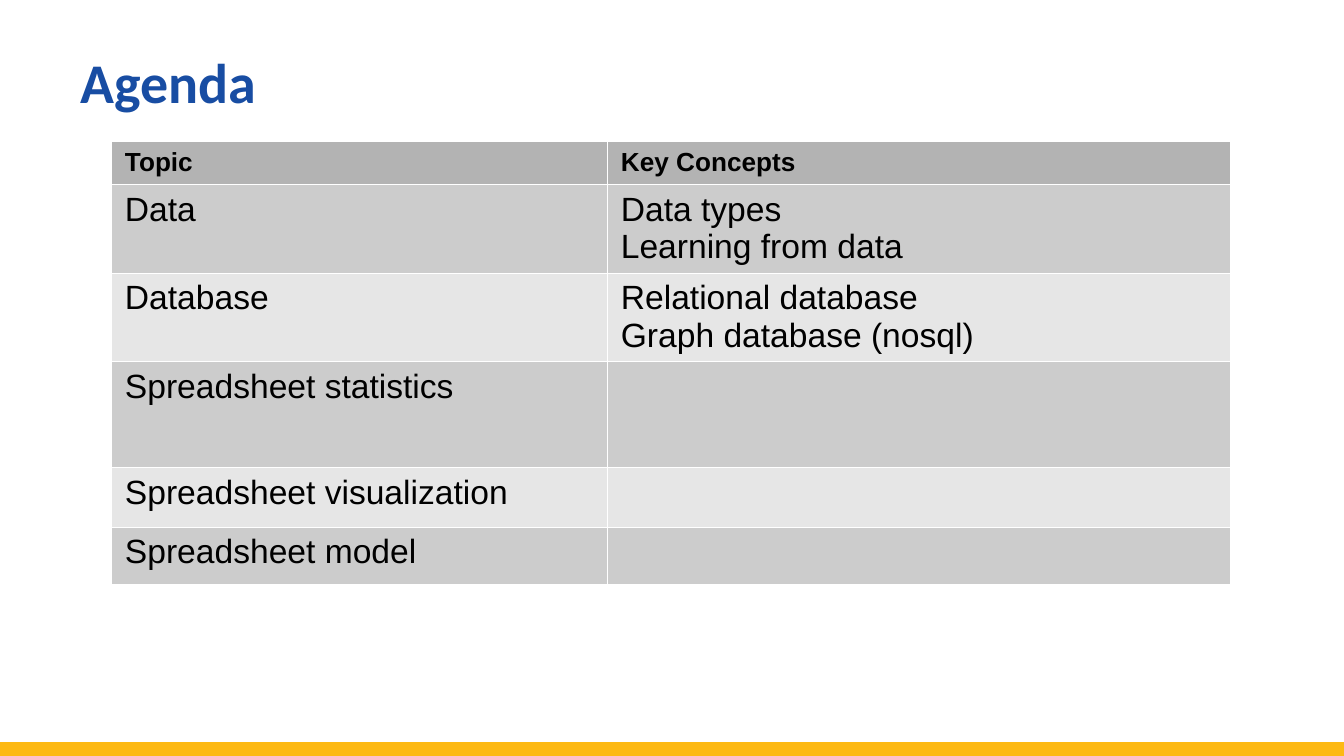
from lxml.etree import SubElement
from pptx import Presentation
from pptx.dml.color import RGBColor
from pptx.enum.shapes import MSO_CONNECTOR
from pptx.enum.text import MSO_ANCHOR, MSO_AUTO_SIZE, PP_ALIGN
from pptx.oxml.ns import qn
from pptx.util import Inches, Pt

BLUE = RGBColor(0x18, 0x4D, 0xA3)
GOLD = RGBColor(0xFD, 0xB9, 0x13)
BLACK = RGBColor(0x00, 0x00, 0x00)
WHITE = RGBColor(0xFF, 0xFF, 0xFF)
HEADER_GRAY = RGBColor(0xB3, 0xB3, 0xB3)
BAND_GRAYS = (RGBColor(0xCC, 0xCC, 0xCC), RGBColor(0xE6, 0xE6, 0xE6))

COLUMN_WIDTHS = (3.69, 4.63)
ROW_HEIGHTS = (0.3, 0.61, 0.6, 0.79, 0.44, 0.43)
AGENDA = (
    ("Topic", ["Key Concepts"]),
    ("Data", ["Data types", "Learning from data"]),
    ("Database", ["Relational database", "Graph database (nosql)"]),
    ("Spreadsheet statistics", []),
    ("Spreadsheet visualization", []),
    ("Spreadsheet model", []),
)


def add_run(paragraph, text, size, font_name, color, bold=False):
    run = paragraph.add_run()
    run.text = text
    run.font.size = Pt(size)
    run.font.name = font_name
    run.font.color.rgb = color
    run.font.bold = bold


def set_title(slide, text, slide_width):
    title = slide.shapes.title
    title.left, title.top = int(slide_width * 0.05), 0
    title.width, title.height = int(slide_width * 0.9), Inches(1.31)
    frame = title.text_frame
    frame.word_wrap = True
    frame.auto_size = MSO_AUTO_SIZE.NONE
    frame.vertical_anchor = MSO_ANCHOR.TOP
    paragraph = frame.paragraphs[0]
    paragraph.alignment = PP_ALIGN.LEFT
    paragraph.line_spacing = Pt(58)
    add_run(paragraph, text, 30, "Calibri", BLUE, bold=True)


def add_footer_line(slide, slide_width):
    y = Inches(5.58)
    line = slide.shapes.add_connector(MSO_CONNECTOR.STRAIGHT, 0, y, slide_width, y)
    line.line.color.rgb = GOLD
    line.line.width = Pt(8)
    SubElement(line._element.spPr, qn("a:effectLst"))


def set_borders(cell):
    properties = cell._tc.get_or_add_tcPr()
    for index, side in enumerate(("a:lnL", "a:lnR", "a:lnT", "a:lnB")):
        border = properties.makeelement(qn(side), {"w": str(Pt(0.06))})
        fill = SubElement(border, qn("a:solidFill"))
        SubElement(fill, qn("a:srgbClr"), val=str(WHITE))
        properties.insert(index, border)


def fill_cell(cell, lines, is_header, color):
    cell.fill.solid()
    cell.fill.fore_color.rgb = color
    set_borders(cell)
    frame = cell.text_frame
    for index, text in enumerate(lines):
        paragraph = frame.add_paragraph() if index else frame.paragraphs[0]
        add_run(paragraph, text, 14 if is_header else 18, "Arial", BLACK, is_header)


def add_agenda_table(slide):
    table = slide.shapes.add_table(
        len(AGENDA), len(COLUMN_WIDTHS), Inches(0.83), Inches(1.05),
        Inches(sum(COLUMN_WIDTHS)), Inches(sum(ROW_HEIGHTS))).table
    for column, width in zip(table.columns, COLUMN_WIDTHS):
        column.width = Inches(width)
    for index, (topic, concepts) in enumerate(AGENDA):
        table.rows[index].height = Inches(ROW_HEIGHTS[index])
        is_header = index == 0
        color = HEADER_GRAY if is_header else BAND_GRAYS[(index - 1) % 2]
        fill_cell(table.cell(index, 0), [topic], is_header, color)
        fill_cell(table.cell(index, 1), concepts, is_header, color)


def main():
    presentation = Presentation()
    presentation.slide_width = Inches(10)
    presentation.slide_height = Inches(10) * 9 // 16
    width = presentation.slide_width
    slide = presentation.slides.add_slide(presentation.slide_layouts[5])

    # Footer line, title and agenda
    add_footer_line(slide, width)
    set_title(slide, "Agenda", width)
    add_agenda_table(slide)

    presentation.save("out.pptx")


if __name__ == "__main__":
    main()
